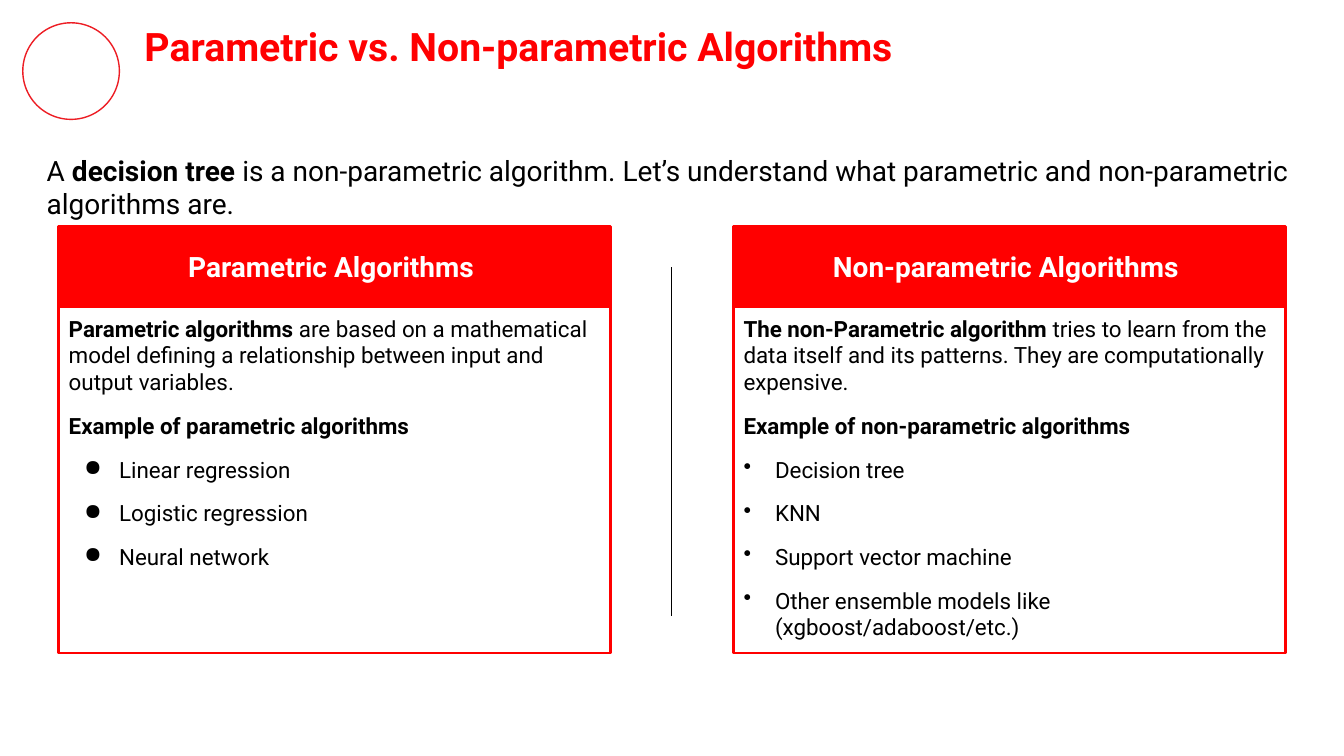
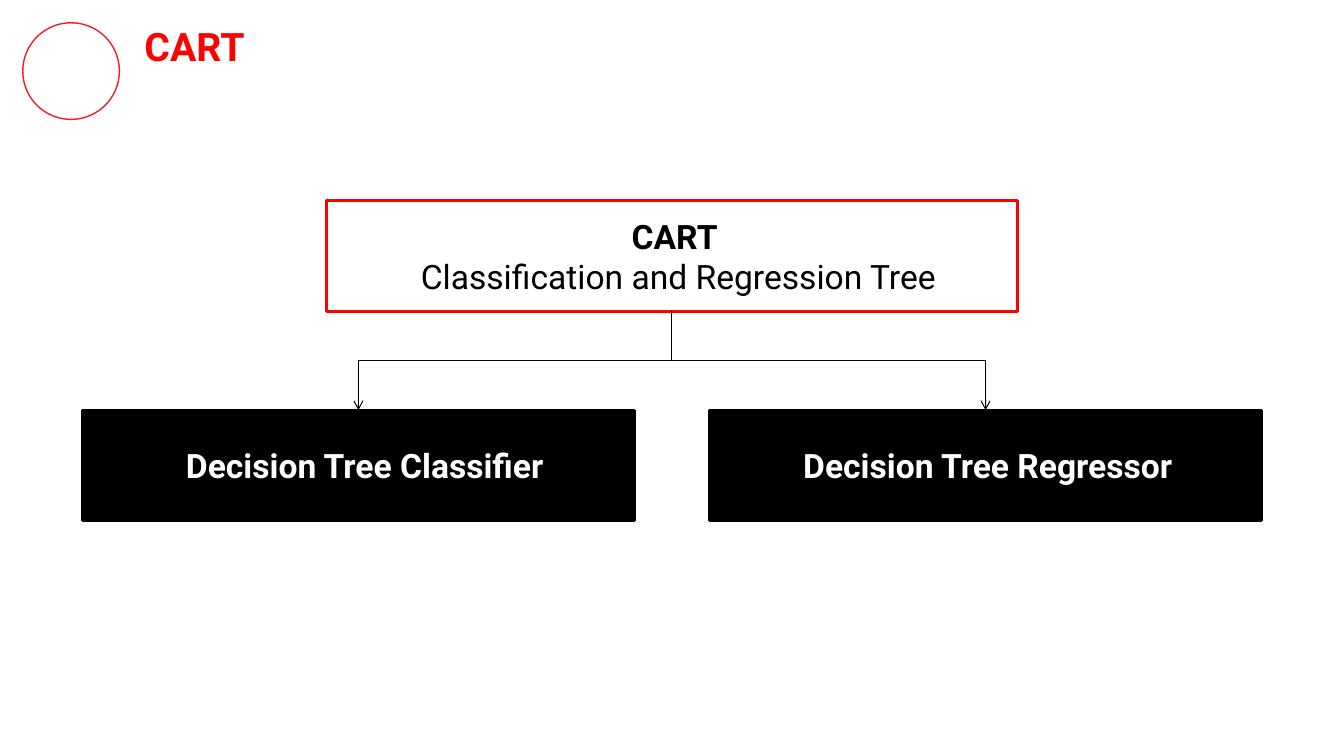
from dataclasses import dataclass

from pptx import Presentation
from pptx.dml.color import RGBColor
from pptx.enum.shapes import MSO_CONNECTOR, MSO_SHAPE
from pptx.enum.text import MSO_ANCHOR, MSO_AUTO_SIZE, PP_ALIGN
from pptx.oxml.ns import qn
from pptx.oxml.xmlchemy import OxmlElement
from pptx.util import Pt

RECT, OVAL = MSO_SHAPE.RECTANGLE, MSO_SHAPE.OVAL
STRAIGHT, ELBOW = MSO_CONNECTOR.STRAIGHT, MSO_CONNECTOR.ELBOW
TOP, MIDDLE = MSO_ANCHOR.TOP, MSO_ANCHOR.MIDDLE
LEFT, CENTER = PP_ALIGN.LEFT, PP_ALIGN.CENTER
NO_FIT = MSO_AUTO_SIZE.NONE
TITLE_ONLY = 5
TOP_SIDE, BOTTOM_SIDE = 0, 2


@dataclass(frozen=True)
class Theme:
    font: str = "Roboto"
    title_red: RGBColor = RGBColor(0xFF, 0x00, 0x01)
    red: RGBColor = RGBColor(0xFF, 0x00, 0x00)
    ring_red: RGBColor = RGBColor(0xED, 0x1D, 0x24)
    black: RGBColor = RGBColor(0, 0, 0)
    white: RGBColor = RGBColor(0xFF, 0xFF, 0xFF)
    title: int = 28
    node: int = 24
    lead: int = 20
    body: int = 16
    border: float = 2
    thin: float = 0.75


T = Theme()
SLIDE_W, SLIDE_H = 960, 540
CENTER_X = SLIDE_W / 2
BOX_W = 394
INSET = 7.2


def set_frame(tf, anchor, top=INSET):
    tf.word_wrap = True
    tf.auto_size = NO_FIT
    tf.vertical_anchor = anchor
    tf.margin_left = tf.margin_right = tf.margin_bottom = Pt(INSET)
    tf.margin_top = Pt(top)


def add_run(p, text, size, color, bold=False):
    r = p.add_run()
    r.text = text
    r.font.name = T.font
    r.font.size = Pt(size)
    r.font.bold = bold
    r.font.color.rgb = color


def add_paragraph(tf, runs, size, color, align=LEFT, after=0, indent=0, hanging=0, bullet=None):
    p = tf.paragraphs[0]
    if p.runs:
        p = tf.add_paragraph()
    p.alignment = align
    p.space_after = Pt(after)
    pPr = p._p.get_or_add_pPr()
    pPr.set("marL", str(Pt(indent)))
    pPr.set("indent", str(Pt(-hanging)))
    if bullet:
        bu = OxmlElement("a:buChar")
        bu.set("char", bullet)
        pPr.append(bu)
    for text, bold in runs:
        add_run(p, text, size, color, bold)


def add_title(s, text):
    sp = s.shapes.title
    sp.left, sp.top, sp.width, sp.height = Pt(96), Pt(8.6), Pt(805), Pt(48)
    set_frame(sp.text_frame, TOP)
    add_paragraph(sp.text_frame, [(text, True)], T.title, T.title_red)


def add_box(s, x, y, w, h, line, fill=None, weight=T.border, kind=RECT):
    sp = s.shapes.add_shape(kind, Pt(x), Pt(y), Pt(w), Pt(h))
    sp.shadow.inherit = False
    if fill is None:
        sp.fill.background()
    else:
        sp.fill.solid()
        sp.fill.fore_color.rgb = fill
    sp.line.color.rgb = line
    sp.line.width = Pt(weight)
    return sp


def add_slide(prs, title):
    s = prs.slides.add_slide(prs.slide_layouts[TITLE_ONLY])
    add_title(s, title)
    add_box(s, 16.3, 16.3, 69, 69, T.ring_red, weight=1, kind=OVAL)
    return s


def add_line(s, kind, x1, y1, x2, y2):
    line = s.shapes.add_connector(kind, Pt(x1), Pt(y1), Pt(x2), Pt(y2))
    line.line.color.rgb = T.black
    line.line.width = Pt(T.thin)
    line._element.spPr.append(OxmlElement("a:effectLst"))
    return line


def add_branch(s, parent, child):
    x1, y1 = parent.left + parent.width / 2, parent.top + parent.height
    x2, y2 = child.left + child.width / 2, child.top
    branch = add_line(s, ELBOW, 0, 0, 10, 10)
    branch.begin_connect(parent, BOTTOM_SIDE)
    branch.end_connect(child, TOP_SIDE)
    drop, span = int(y2 - y1), int(abs(x2 - x1))
    branch.left, branch.top = int((x1 + x2 - drop) / 2), int((y1 + y2 - span) / 2)
    branch.width, branch.height = drop, span
    to_right = x2 > x1
    xfrm = branch._element.spPr.find(qn("a:xfrm"))
    xfrm.set("rot", str((270 if to_right else 90) * 60000))
    xfrm.set("flipH", "1" if to_right else "0")
    xfrm.set("flipV", "0")
    tail = OxmlElement("a:tailEnd")
    tail.set("type", "arrow")
    branch.line._get_or_add_ln().append(tail)


def add_panel(s, x, heading, intro, subhead, items, bullet, indent, hanging):
    top, head_h, body_h = 162, 57, 247.5
    body = add_box(s, x, top + head_h, BOX_W, body_h, T.red)
    tf = body.text_frame
    set_frame(tf, TOP, top=5.8)
    for runs in (intro, [(subhead, True)]):
        add_paragraph(tf, runs, T.body, T.black, after=12)
    for item in items:
        add_paragraph(tf, [(item, False)], T.body, T.black, after=12,
                      indent=indent, hanging=hanging, bullet=bullet)
    head = add_box(s, x, top, BOX_W, head_h, T.red, T.red)
    set_frame(head.text_frame, MIDDLE)
    add_paragraph(head.text_frame, [(heading, True)], T.lead, T.white, CENTER)


def add_node(s, center_x, y, w, lines, line, fill, color):
    sp = add_box(s, center_x - w / 2, y, w, 79, line, fill)
    set_frame(sp.text_frame, MIDDLE)
    for text, bold in lines:
        add_paragraph(sp.text_frame, [(text, bold)], T.node, color, CENTER, indent=9)
    return sp


def build_comparison(prs):
    s = add_slide(prs, "Parametric vs. Non-parametric Algorithms")
    lead = s.shapes.add_textbox(Pt(17.3), Pt(96), Pt(924.5), Pt(75))
    set_frame(lead.text_frame, MIDDLE)
    add_paragraph(lead.text_frame, [
        ("A ", False),
        ("decision tree ", True),
        ("is a non-parametric algorithm. Let’s understand what parametric and "
         "non-parametric algorithms are.", False),
    ], T.lead, T.black, after=12, indent=9)
    margin = 42
    add_panel(s, margin, "Parametric Algorithms ",
              [("Parametric algorithms ", True),
               ("are based on a mathematical model defining a relationship between "
                "input and output variables.", False)],
              "Example of parametric algorithms",
              ["Linear regression", "Logistic regression", "Neural network"],
              "●", 36, 25)
    add_panel(s, SLIDE_W - margin - BOX_W, "Non-parametric Algorithms ",
              [("The non-Parametric algorithm ", True),
               ("tries to learn from the data itself and its patterns. They are "
                "computationally expensive.", False)],
              "Example of non-parametric algorithms",
              ["Decision tree", "KNN", "Support vector machine",
               "Other ensemble models like (xgboost/adaboost/etc.)"],
              "•", 22.5, 22.5)
    add_line(s, STRAIGHT, CENTER_X, 191, CENTER_X, 440)


def build_cart(prs):
    s = add_slide(prs, "CART")
    root = add_node(s, CENTER_X, 143.5, 494,
                    [("CART ", True), ("Classification and Regression Tree", False)],
                    T.red, T.white, T.black)
    offset = 224
    for center_x, text in ((CENTER_X - offset, "Decision Tree Classifier"),
                           (CENTER_X + offset, "Decision Tree Regressor ")):
        child = add_node(s, center_x, 293, BOX_W, [(text, True)], T.black, T.black, T.white)
        add_branch(s, root, child)


def main():
    prs = Presentation()
    prs.slide_width, prs.slide_height = Pt(SLIDE_W), Pt(SLIDE_H)
    build_comparison(prs)
    build_cart(prs)
    prs.save("out.pptx")


if __name__ == "__main__":
    main()
